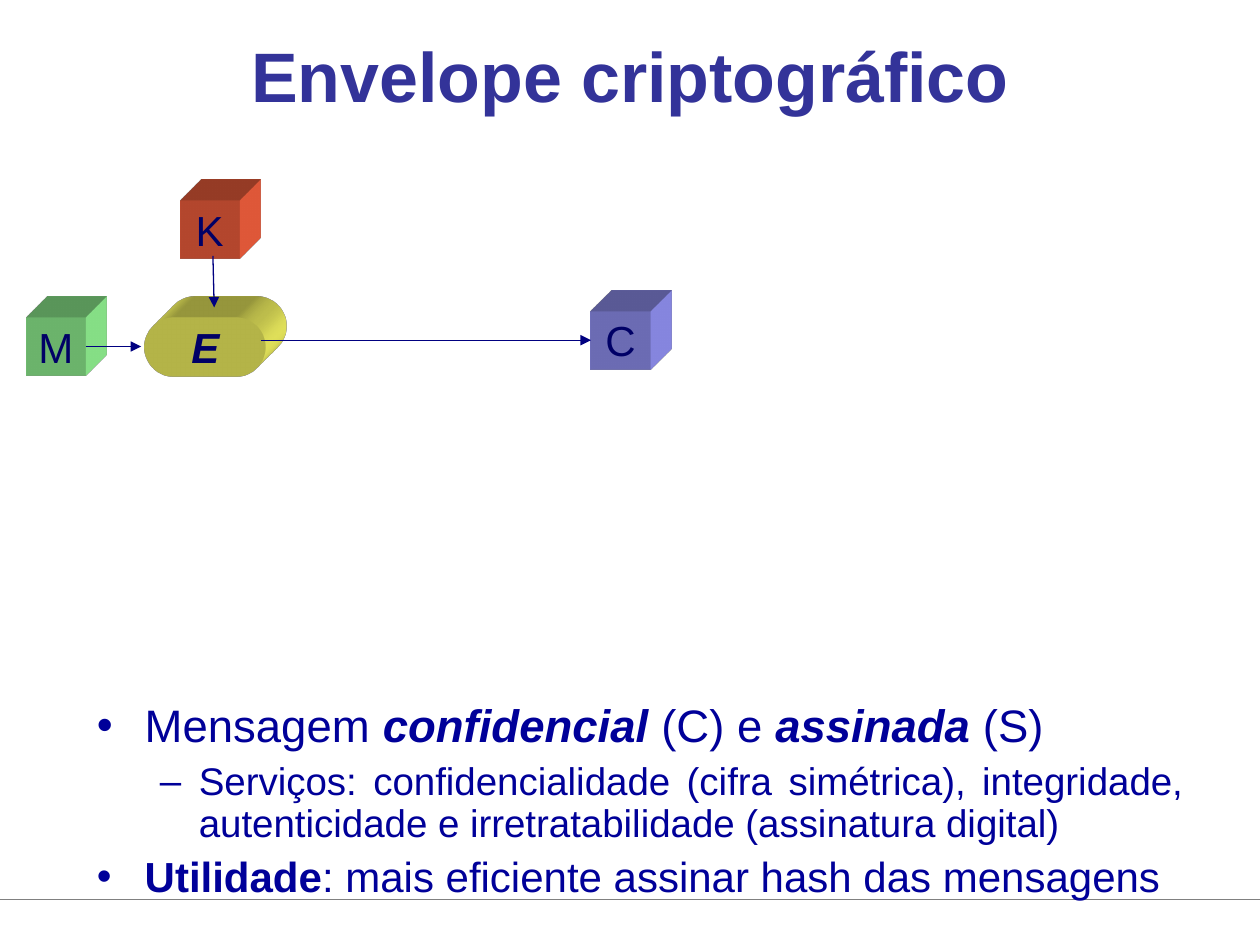
from lxml import etree
from pptx import Presentation
from pptx import util as u
from pptx.dml.color import RGBColor
from pptx.enum import shapes, text
from pptx.oxml import parse_xml
from pptx.oxml.ns import nsdecls, qn

W, H = 10, 7.5
CUBE = (0.47, 0.46)
JUSTIFY, LEFT, CENTER = text.PP_ALIGN.JUSTIFY, text.PP_ALIGN.LEFT, text.PP_ALIGN.CENTER


def rgb(value):
    return RGBColor.from_string(value)


def inches(*values):
    return [u.Inches(v) for v in values]


def add_run(p, content, size, color, bold=False, italic=False):
    r = p.add_run()
    r.text = content
    f = r.font
    f.name, f.size, f.bold, f.italic = "Arial", u.Pt(size), bold, italic
    f.color.rgb = rgb(color)


def add_line(s, start, end, color="000080", arrow=True):
    line = s.shapes.add_connector(shapes.MSO_CONNECTOR.STRAIGHT, *inches(*start, *end))
    line.line.color.rgb = rgb(color)
    line.line.width = u.Pt(0.75)
    if arrow:
        etree.SubElement(line.line._get_or_add_ln(), qn("a:tailEnd"), type="triangle")
    etree.SubElement(line._element.spPr, qn("a:effectLst"))


def extrude(sp, color):
    """Give the shape an oblique depth towards the top right."""
    ns = nsdecls("a")
    sp._element.spPr.append(parse_xml(
        f'<a:scene3d {ns}><a:camera prst="legacyObliqueTopRight"/>'
        '<a:lightRig rig="legacyFlat3" dir="b"/></a:scene3d>'))
    sp._element.spPr.append(parse_xml(
        f'<a:sp3d {ns} extrusionH="430200" prstMaterial="legacyMatte">'
        '<a:bevelT w="13500" h="13500" prst="angle"/>'
        '<a:bevelB w="13500" h="13500" prst="angle"/>'
        f'<a:extrusionClr><a:srgbClr val="{color}"/></a:extrusionClr></a:sp3d>'))


def add_solid(s, label, box, color, rounded=False):
    kind = shapes.MSO_SHAPE.ROUNDED_RECTANGLE if rounded else shapes.MSO_SHAPE.RECTANGLE
    sp = s.shapes.add_shape(kind, *inches(*box))
    if rounded:
        sp.adjustments[0] = 0.5
    sp.shadow.inherit = False
    sp.fill.solid()
    sp.fill.fore_color.rgb = rgb(color)
    sp.line.fill.background()
    extrude(sp, color)
    tf = sp.text_frame
    tf.word_wrap = False
    tf.vertical_anchor = text.MSO_ANCHOR.MIDDLE
    p = tf.paragraphs[0]
    p.alignment = CENTER
    add_run(p, label, 24, "000066", bold=rounded, italic=rounded)


def add_title(s, box):
    tf = s.shapes.add_textbox(*inches(*box)).text_frame
    tf.word_wrap = True
    tf.vertical_anchor = text.MSO_ANCHOR.MIDDLE
    p = tf.paragraphs[0]
    p.alignment = CENTER
    add_run(p, "Envelope criptográfico", 40, "333399", bold=True)


def add_diagram(s, left, top):
    """Message and key enter the cipher, which yields the ciphertext."""
    def at(x, y):
        return left + x, top + y

    add_solid(s, "K", (*at(1.22, 0), *CUBE), "FF6541")
    add_solid(s, "M", (*at(0, 0.93), *CUBE), "99FF99")
    add_line(s, at(0.47, 1.16), at(0.91, 1.16))
    add_solid(s, "C", (*at(4.48, 0.88), *CUBE), "9999FF")
    add_solid(s, "E", (*at(0.94, 0.93), 0.96, 0.47), "FFFF66", rounded=True)
    add_line(s, at(1.48, 0.44), at(1.49, 0.85))
    add_line(s, at(1.86, 1.11), at(4.48, 1.11))


def add_bullets(s, box):
    plain, strong, bold = {}, {"bold": True, "italic": True}, {"bold": True}
    items = [
        (0, "•", 26, JUSTIFY, [("Mensagem ", plain), ("confidencial", strong), (" (C) e ", plain),
                               ("assinada ", strong), ("(S)", plain)]),
        (1, "–", 22, JUSTIFY, [("Serviços: confidencialidade (cifra simétrica), integridade, "
                                "autenticidade e irretratabilidade (assinatura digital)", plain)]),
        (0, "•", 24, LEFT, [("Utilidade", bold),
                            (": mais eficiente assinar hash das mensagens", plain)]),
    ]
    indents = [(0.38, -0.38), (0.81, -0.31)]
    tf = s.shapes.add_textbox(*inches(*box)).text_frame
    tf.word_wrap = True
    for i, (level, mark, size, align, runs) in enumerate(items):
        p = tf.add_paragraph() if i else tf.paragraphs[0]
        p.level, p.alignment, p.line_spacing = level, align, 0.9
        p.space_before = u.Pt(6 if i else 0)
        margin, hanging = inches(*indents[level])
        pPr = p._p.get_or_add_pPr()
        pPr.set("marL", str(margin))
        pPr.set("indent", str(hanging))
        etree.SubElement(pPr, qn("a:buFont"), typeface="Arial")
        etree.SubElement(pPr, qn("a:buChar"), char=mark)
        for content, style in runs:
            add_run(p, content, size, "000099", **style)


def main():
    prs = Presentation()
    prs.slide_width, prs.slide_height = inches(W, H)
    s = prs.slides.add_slide(prs.slide_layouts[6])
    add_line(s, (0, 7.14), (W, 7.14), "808080", arrow=False)
    add_title(s, (0.75, -0.03, 8.5, 1.25))
    add_diagram(s, 0.21, 1.59)
    add_bullets(s, (0.67, 5.53, 8.82, 1.42))
    prs.save("out.pptx")


if __name__ == "__main__":
    main()
